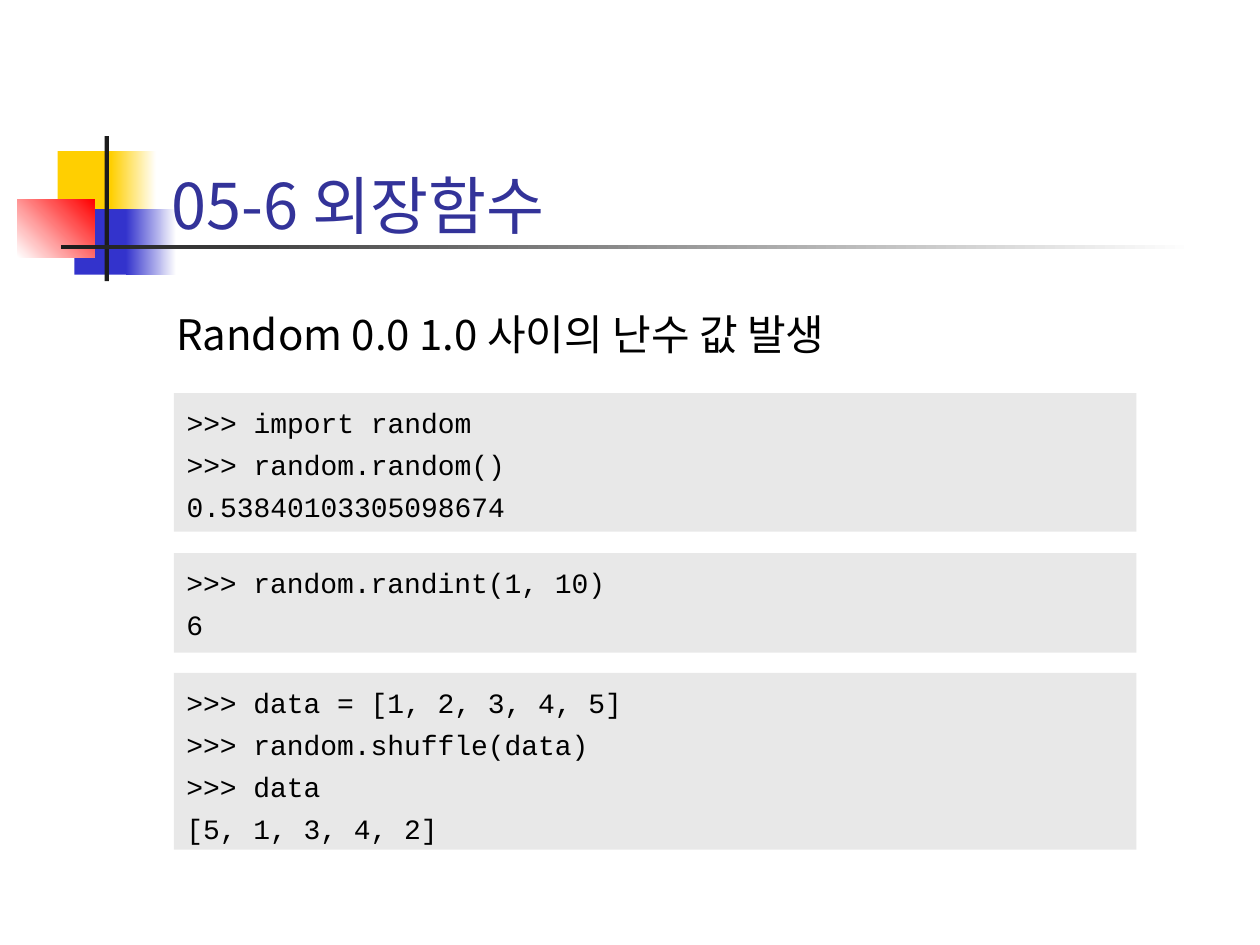
from dataclasses import dataclass
from typing import Any

import pptx
import pptx.dml.color
import pptx.enum.shapes
import pptx.enum.text
import pptx.oxml.ns
import pptx.util
from lxml import etree

SANS = "Noto Sans CJK KR"
MONO = "Courier New"
CODE_LEFT = 99.4
CODE_WIDTH = 550


@dataclass
class Block:
    left: float
    top: float
    width: float
    height: float
    start: str
    end: str = ""
    angle: float = 0


@dataclass
class Code:
    top: float
    height: float
    lines: list[str]


@dataclass
class Style:
    font: str
    size: float
    color: str
    gap: float = 0


TITLE = Style(SANS, 36, "333399")
HEADING = Style(SANS, 24, "000000")
LISTING = Style(MONO, 16, "000000", 4.9)

DECORATION = [
    Block(33, 86.4, 34.6, 37.4, "FFCF01"),
    Block(63.4, 86.4, 25.9, 37.4, "FFCF01", "FFFFFF"),
    Block(42.5, 119.5, 33.1, 37.4, "3333CC"),
    Block(72, 119.5, 28.8, 37.4, "3333CC", "FFFFFF"),
    Block(10, 113.8, 44, 33.1, "FFFFFF", "FF0000", 45),
    Block(59.8, 77.8, 2.5, 82.8, "1C1C1C"),
    Block(34.6, 140, 648, 2.6, "1C1C1C", "FFFFFF"),
]

CODES = [
    Code(224.6, 79.2, [">>> import random", ">>> random.random()", "0.53840103305098674"]),
    Code(316, 56.9, [">>> random.randint(1, 10)", "6"]),
    Code(384.5, 101, [">>> data = [1, 2, 3, 4, 5]", ">>> random.shuffle(data)",
                      ">>> data", "[5, 1, 3, 4, 2]"]),
]


def rgb(value: str) -> pptx.dml.color.RGBColor:
    return pptx.dml.color.RGBColor.from_string(value)


def points(*values: float) -> list[pptx.util.Length]:
    return [pptx.util.Pt(value) for value in values]


def place(shape: Any, left: float, top: float, width: float, height: float) -> None:
    shape.left, shape.top, shape.width, shape.height = points(left, top, width, height)


def add_rectangle(slide: Any, left: float, top: float, width: float, height: float) -> Any:
    rectangle = pptx.enum.shapes.MSO_SHAPE.RECTANGLE
    shape = slide.shapes.add_shape(rectangle, *points(left, top, width, height))
    shape.shadow.inherit = False
    shape.line.fill.background()
    return shape


def fill_solid(shape: Any, color: str) -> None:
    shape.fill.solid()
    shape.fill.fore_color.rgb = rgb(color)


def draw_block(slide: Any, block: Block) -> None:
    shape = add_rectangle(slide, block.left, block.top, block.width, block.height)
    if not block.end:
        fill_solid(shape, block.start)
        return
    shape.fill.gradient()
    shape.fill.gradient_angle = block.angle
    for stop, color in zip(shape.fill.gradient_stops, (block.start, block.end)):
        stop.color.rgb = rgb(color)


def write(shape: Any, lines: list[str], style: Style, top: float = 0,
          bottom: float = 0, anchor: str = "TOP") -> None:
    frame = shape.text_frame
    frame.word_wrap = True
    frame.auto_size = pptx.enum.text.MSO_AUTO_SIZE.NONE
    frame.vertical_anchor = pptx.enum.text.MSO_ANCHOR[anchor]
    frame.margin_left, frame.margin_right = points(7.2, 7.2)
    frame.margin_top, frame.margin_bottom = points(top, bottom)
    for index, line in enumerate(lines):
        paragraph = frame.add_paragraph() if index else frame.paragraphs[0]
        paragraph.alignment = pptx.enum.text.PP_ALIGN.LEFT
        paragraph.space_before = pptx.util.Pt(style.gap if index else 0)
        properties = paragraph._p.get_or_add_pPr()
        properties.set("marL", "0")
        properties.set("indent", "0")
        etree.SubElement(properties, pptx.oxml.ns.qn("a:buNone"))
        run = paragraph.add_run()
        run.text = line
        run.font.name = style.font
        run.font.size = pptx.util.Pt(style.size)
        run.font.color.rgb = rgb(style.color)
        east_asian = etree.SubElement(run.font._element, pptx.oxml.ns.qn("a:ea"))
        east_asian.set("typeface", style.font)


def draw_code(shape: Any, code: Code) -> None:
    place(shape, CODE_LEFT, code.top, CODE_WIDTH, code.height)
    fill_solid(shape, "E8E8E8")
    write(shape, code.lines, LISTING, top=7, bottom=3.6)


def main() -> None:
    presentation = pptx.Presentation()
    presentation.slide_width, presentation.slide_height = points(720, 540)
    slide = presentation.slides.add_slide(presentation.slide_layouts[1])
    title, body = slide.placeholders

    for block in DECORATION:
        draw_block(slide, block)
    for placeholder in (title, body):
        placeholder.element.getparent().append(placeholder.element)

    place(title, 90.7, 48.2, 558.7, 90)
    write(title, ["05-6 외장함수"], TITLE, anchor="BOTTOM")

    heading = slide.shapes.add_textbox(*points(93.6, 176.4, 555.8, 36.7))
    write(heading, ["Random 0.0 1.0 사이의 난수 값 발생"], HEADING)

    draw_code(body, CODES[0])
    for code in CODES[1:]:
        draw_code(add_rectangle(slide, CODE_LEFT, code.top, CODE_WIDTH, code.height), code)

    presentation.save("out.pptx")


if __name__ == "__main__":
    main()
